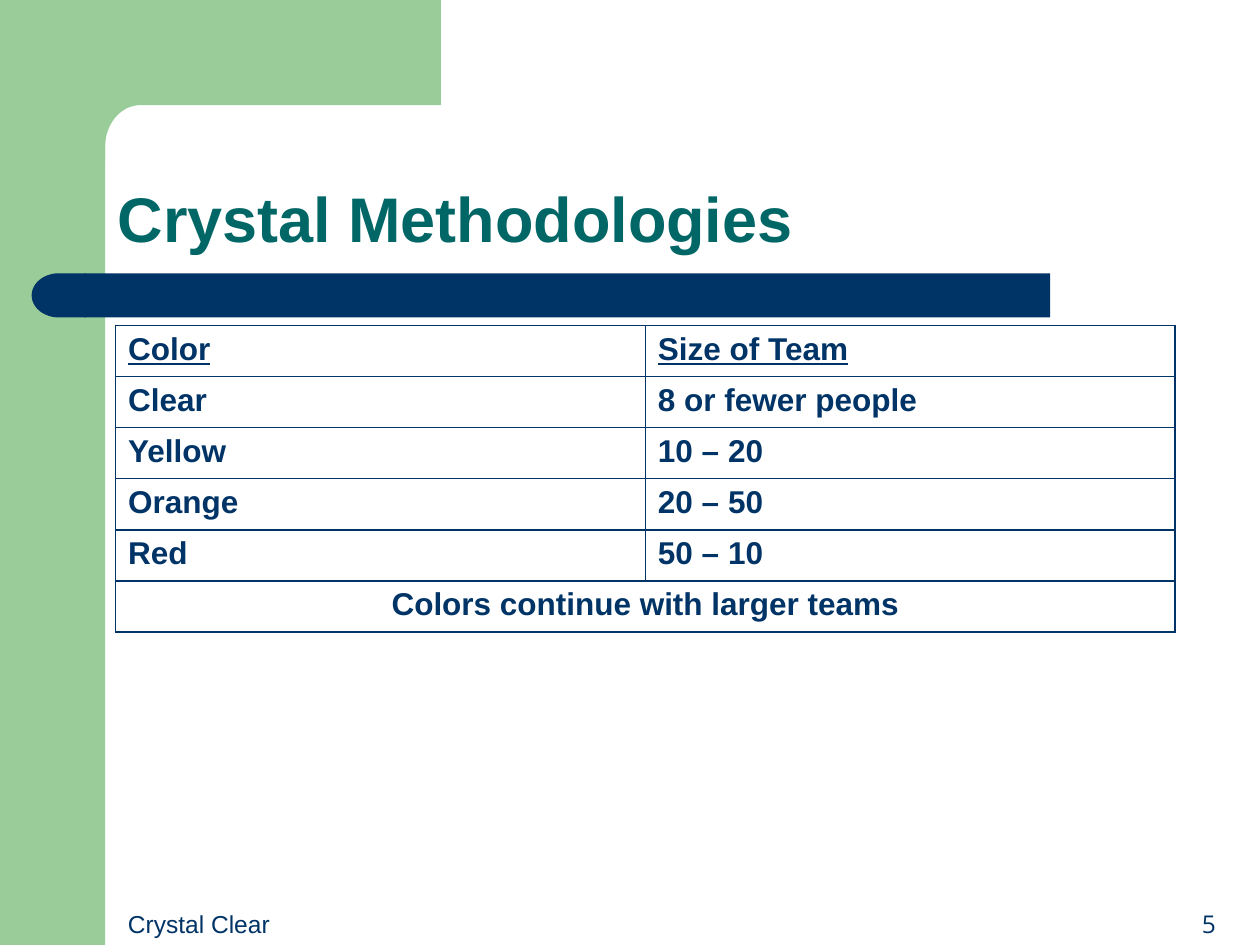
from math import cos, pi, sin

from lxml.etree import SubElement
from pptx import Presentation
from pptx.dml.color import RGBColor
from pptx.enum.shapes import MSO_SHAPE
from pptx.enum.text import MSO_ANCHOR, PP_ALIGN
from pptx.oxml.ns import qn
from pptx.util import Cm, Pt

# Content
TITLE = "Crystal Methodologies"
HEADINGS = ("Color", "Size of Team")
TEAMS = [
    ("Clear", "8 or fewer people"),
    ("Yellow", "10 – 20"),
    ("Orange", "20 – 50"),
    ("Red", "50 – 10"),
]
CLOSING = "Colors continue with larger teams"
FOOTER = "Crystal Clear"
PAGE_NUMBER = "5"

COLORS = {"green": "99CC99", "navy": "003366", "teal": "006666", "white": "FFFFFF"}

# Layout in centimetres
WIDTH, HEIGHT = 25.4, 19.05
BAND = 2.12
CORNER_X, CORNER_Y = 0.71, 0.84
BAR_TOP, BAR_HEIGHT = 5.51, 0.89
TABLE_LEFT, TABLE_TOP, COLUMN_WIDTH, ROW_HEIGHT = 2.33, 6.56, 10.68, 1.03


def color(name):
    return RGBColor.from_string(COLORS[name])


def paint(shape, name):
    shape.fill.solid()
    shape.fill.fore_color.rgb = color(name)
    shape.line.fill.background()
    shape.shadow.inherit = False


def write(para, text, size, name="navy", font="Arial", bold=False, underline=False):
    span = para.add_run()
    span.text = text
    span.font.size = Pt(size)
    span.font.name = font
    span.font.bold = bold
    span.font.underline = underline
    span.font.color.rgb = color(name)


def add_text(page, place, text, size, align=PP_ALIGN.LEFT, **style):
    box = page.shapes.add_textbox(*map(Cm, place))
    box.text_frame.word_wrap = True
    box.text_frame.vertical_anchor = MSO_ANCHOR.BOTTOM
    para = box.text_frame.paragraphs[0]
    para.alignment = align
    write(para, text, size, **style)
    return para


def add_block(page, kind, place, name):
    block = page.shapes.add_shape(kind, *map(Cm, place))
    paint(block, name)
    return block


def add_borders(cell):
    properties = cell._tc.get_or_add_tcPr()
    for position, side in enumerate(("lnL", "lnR", "lnT", "lnB")):
        line = SubElement(properties, qn(f"a:{side}"), w=str(Pt(1)))
        fill = SubElement(line, qn("a:solidFill"))
        SubElement(fill, qn("a:srgbClr"), val=COLORS["navy"])
        properties.insert(position, line)


def add_decoration(page):
    # Green side band and top block with a rounded inner corner
    add_block(page, MSO_SHAPE.RECTANGLE, (0, 0, BAND, HEIGHT), "green")
    steps = 16
    angles = [pi / 2 * step / steps for step in range(steps + 1)]
    corner = [
        (BAND + CORNER_X * (1 - sin(angle)), BAND + CORNER_Y * (1 - cos(angle)))
        for angle in angles
    ]
    outline = [(8.89, BAND), *corner, (BAND, 3.25), (1.27, 3.25), (1.27, 0)]
    builder = page.shapes.build_freeform(Cm(8.89), 0)
    builder.add_line_segments([(Cm(x), Cm(y)) for x, y in outline], close=True)
    paint(builder.convert_to_shape(), "green")

    # Navy bar with a rounded left end
    bar = (1.7, BAR_TOP, 19.47, BAR_HEIGHT)
    add_block(page, MSO_SHAPE.RECTANGLE, bar, "navy")
    cap = add_block(page, MSO_SHAPE.FLOWCHART_DELAY,
                    (0.64, BAR_TOP, 1.09, BAR_HEIGHT), "navy")
    cap._element.spPr.xfrm.set("flipH", "1")


def add_team_table(page):
    rows = [HEADINGS, *TEAMS, (CLOSING, "")]
    last = len(rows) - 1
    frame = page.shapes.add_table(
        len(rows), 2, Cm(TABLE_LEFT), Cm(TABLE_TOP),
        Cm(2 * COLUMN_WIDTH), Cm(len(rows) * ROW_HEIGHT))
    table = frame.table
    table.first_row = table.horz_banding = False
    for row, texts in enumerate(rows):
        table.rows[row].height = Cm(ROW_HEIGHT)
        for column, text in enumerate(texts):
            cell = table.cell(row, column)
            cell.fill.solid()
            cell.fill.fore_color.rgb = color("white")
            add_borders(cell)
            if text:
                write(cell.text_frame.paragraphs[0], text, 18,
                      bold=True, underline=row == 0)
    table.cell(last, 0).merge(table.cell(last, 1))
    table.cell(last, 0).text_frame.paragraphs[0].alignment = PP_ALIGN.CENTER


def main():
    deck = Presentation()
    deck.slide_width, deck.slide_height = Cm(WIDTH), Cm(HEIGHT)
    page = deck.slides.add_slide(deck.slide_layouts[6])
    page.background.fill.solid()
    page.background.fill.fore_color.rgb = color("white")

    add_decoration(page)
    add_text(page, (19.48, 17.78, 5.28, 1.27), PAGE_NUMBER, 14,
             PP_ALIGN.RIGHT, font="Open Sans")
    title = add_text(page, (BAND, BAND, 22.02, 3.17), TITLE, 36,
                     name="teal", bold=True)
    title.line_spacing = 0.9
    add_team_table(page)
    add_text(page, (TABLE_LEFT, 17.73, 8.05, 1.32), FOOTER, 14)

    deck.save("out.pptx")


if __name__ == "__main__":
    main()
